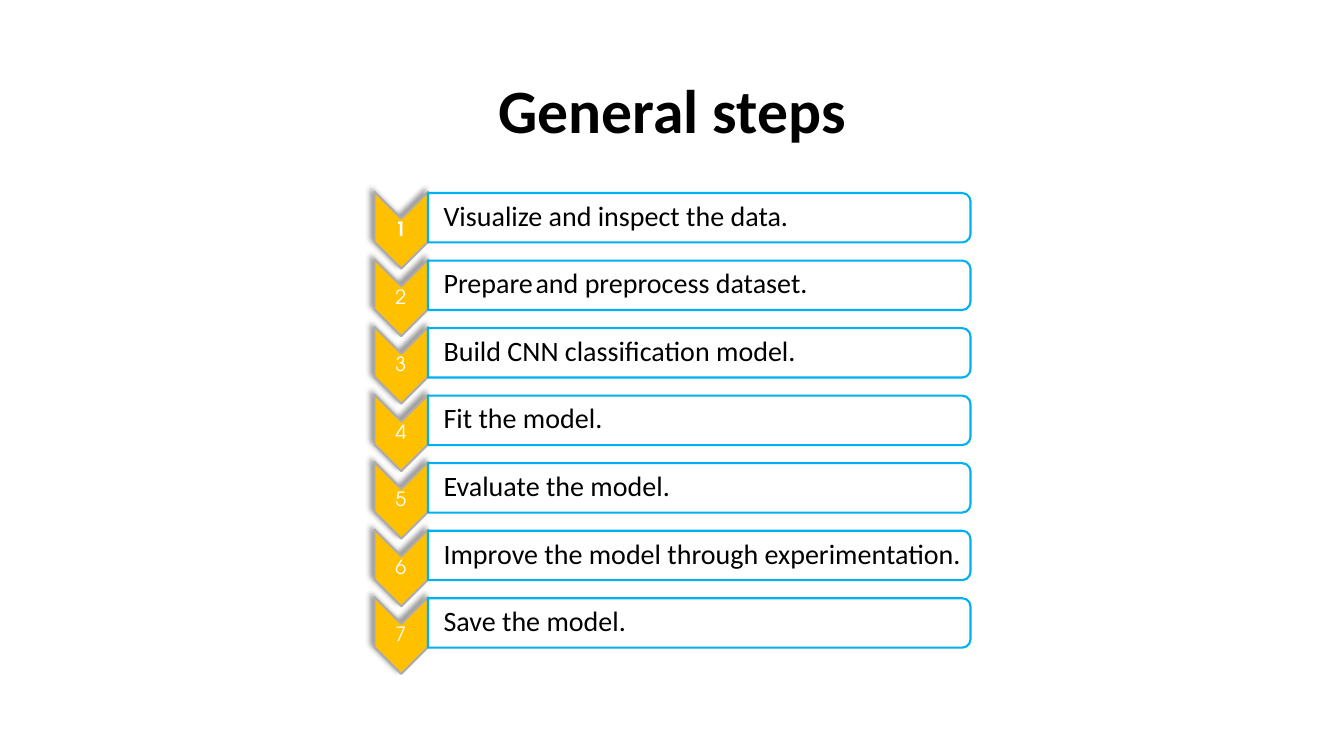
from lxml.etree import SubElement as Sub
from pptx import Presentation as Deck
from pptx.dml.color import RGBColor as Rgb
from pptx.enum.shapes import MSO_SHAPE as Kind
from pptx.enum.text import MSO_ANCHOR as Anchor, PP_ALIGN as Align
from pptx.oxml.ns import qn
from pptx.util import Inches, Pt

HUES = {"ink": "000000", "paper": "FFFFFF", "gold": "FFC000",
        "grey": "AFABAB", "blue": "00B0F0"}
BODY, DIGIT = "Calibri", "TeX Gyre Adventor"
TOP, PITCH = 1.93, 0.67
STEPS = [
    ["Visualize and inspect the data."],
    ["Prepare", " ", "and preprocess dataset."],
    ["Build CNN classification model."],
    ["Fit the model."],
    ["Evaluate the model."],
    ["Improve the model through experimentation."],
    ["Save the model."],
]


class Page:
    """Holds the style and the current slide."""

    def __init__(self, deck):
        self.slide = deck.slides.add_slide(deck.slide_layouts[5])
        self.shapes = self.slide.shapes

    def hue(self, name):
        return Rgb.from_string(HUES[name])

    def style(self, run, size, face, hue, bold=False):
        font = run.font
        font.size, font.name, font.bold = Pt(size), face, bold
        font.color.rgb = self.hue(hue)

    def title(self, text, box):
        head = self.shapes.title
        head.left, head.top, head.width, head.height = map(Inches, box)
        frame = head.text_frame
        frame.text = text
        frame.vertical_anchor = Anchor.MIDDLE
        para = frame.paragraphs[0]
        para.alignment, para.line_spacing = Align.CENTER, 0.9
        self.style(para.runs[0], 44, BODY, "ink", True)

    def block(self, kind, box, fill, line):
        shape = self.shapes.add_shape(kind, *map(Inches, box))
        shape.rotation = 90
        shape.shadow.inherit = False
        shape.fill.solid()
        shape.fill.fore_color.rgb = self.hue(fill)
        shape.line.color.rgb = self.hue(line)
        shape.line.width = Pt(1.5)
        return shape

    def arrow(self, box):
        shape = self.block(Kind.CHEVRON, box, "gold", "grey")
        glow = Sub(shape.element.spPr.find(qn("a:effectLst")),
                   qn("a:outerShdw"), blurRad=str(Pt(4)), dist=str(Pt(3)),
                   dir=str(225 * 60000), rotWithShape="0")
        tint = Sub(glow, qn("a:srgbClr"), val=HUES["ink"])
        Sub(tint, qn("a:alpha"), val="40000")

    def panel(self, box):
        shape = self.block(Kind.ROUND_2_SAME_RECTANGLE, box, "paper", "blue")
        tint = shape.element.spPr.find(qn("a:solidFill"))[0]
        Sub(tint, qn("a:alpha"), val="90000")

    def label(self, parts, box, size, face, hue, align, inset=0.01, bold=False):
        frame = self.shapes.add_textbox(*map(Inches, box)).text_frame
        frame.word_wrap = True
        frame.vertical_anchor = Anchor.MIDDLE
        frame.margin_left = Inches(inset)
        frame.margin_right = frame.margin_top = frame.margin_bottom = Inches(0.01)
        para = frame.paragraphs[0]
        para.alignment, para.line_spacing = align, 0.9
        for part in parts:
            run = para.add_run()
            run.text = part
            self.style(run, size if part.strip() else 8, face, hue, bold)

    def step(self, num, parts):
        top = TOP + (num - 1) * PITCH
        self.arrow((3.6, top + 0.09, 0.76, 0.53))
        self.label([str(num)], (3.71, top + 0.24, 0.53, 0.23), 14, DIGIT,
                   "paper", Align.CENTER, bold=num == 1)
        self.panel((6.69, top - 2.46, 0.49, 5.38))
        self.label(parts, (4.24, top, 5.36, 0.45), 20, BODY, "ink",
                   Align.LEFT, 0.16)


def main():
    deck = Deck()
    deck.slide_width, deck.slide_height = Inches(13.33), Inches(7.5)
    page = Page(deck)
    page.title("General steps", (0.92, 0.4, 11.5, 1.45))
    for num, parts in enumerate(STEPS, 1):
        page.step(num, parts)
    deck.save("out.pptx")


if __name__ == "__main__":
    main()
